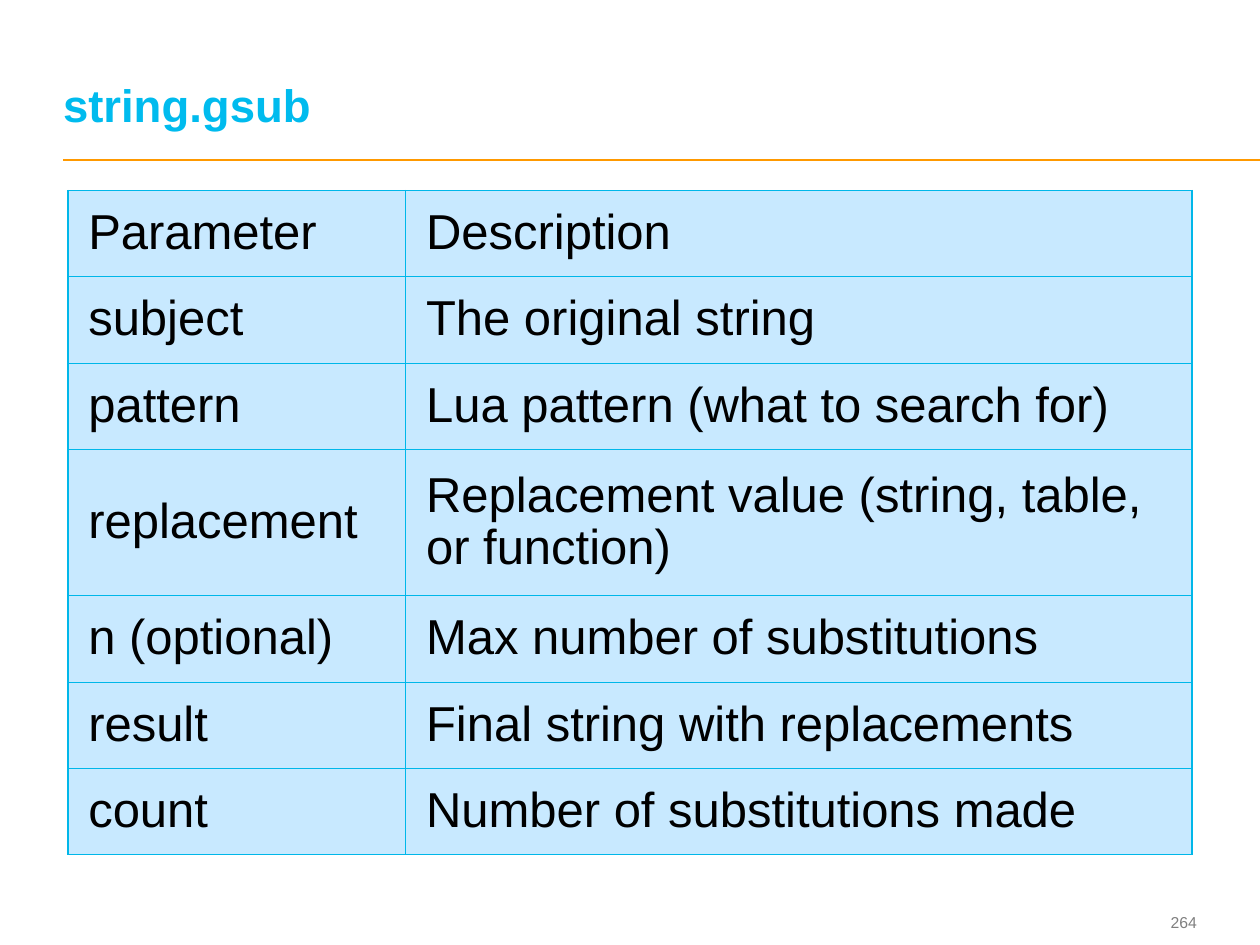
from lxml import etree
from pptx import Presentation
from pptx.dml.color import RGBColor
from pptx.enum.shapes import MSO_CONNECTOR
from pptx.enum.text import MSO_ANCHOR, PP_ALIGN
from pptx.oxml.ns import qn
from pptx.util import Cm, Pt

LINE = MSO_CONNECTOR.STRAIGHT
MID, BASE = MSO_ANCHOR.MIDDLE, MSO_ANCHOR.BOTTOM
LEFT, RIGHT = PP_ALIGN.LEFT, PP_ALIGN.RIGHT

CYAN = RGBColor(0x00, 0xBB, 0xEE)
EDGE = RGBColor(0x00, 0xB7, 0xE9)
PALE = RGBColor(0xC8, 0xE9, 0xFF)
GOLD = RGBColor(0xFF, 0x99, 0x00)
GREY = RGBColor(0x7F, 0x7F, 0x7F)
BLACK = RGBColor(0, 0, 0)

# Content
TITLE = "string.gsub"
PAGE = "264"
ROWS = [
    ("Parameter", "Description"),
    ("subject", "The original string"),
    ("pattern", "Lua pattern (what to search for)"),
    ("replacement", "Replacement value (string, table, or function)"),
    ("n (optional)", "Max number of substitutions"),
    ("result", "Final string with replacements"),
    ("count", "Number of substitutions made"),
]
TALL = 3  # the row that holds two lines
WIDTHS = (6.81, 15.85)
LOW, HIGH = 1.74, 2.95

# Formats
HEAD = {"name": "Arial", "size": Pt(26), "bold": True}
BODY = {"name": "Arial", "size": Pt(28), "bold": False}
FOOT = {"name": "Arial", "size": Pt(9), "bold": False}
FLUSH = dict.fromkeys(
    ("margin_left", "margin_top", "margin_right", "margin_bottom"), 0)
PAD = {"margin_left": Cm(0.41), "margin_right": Cm(0.41),
       "margin_top": Cm(0.2), "margin_bottom": Cm(0.2),
       "vertical_anchor": MID}


def apply(item, style):
    for key, value in style.items():
        setattr(item, key, value)


def write(frame, text, style, color, align=LEFT, gap=None):
    frame.text = text
    para = frame.paragraphs[0]
    para.alignment = align
    para.line_spacing = gap
    font = para.runs[0].font
    apply(font, style)
    font.color.rgb = color


def border(cell):
    props = cell._tc.get_or_add_tcPr()
    for spot, side in enumerate(("lnL", "lnR", "lnT", "lnB")):
        line = etree.Element(qn("a:" + side), w=str(Pt(0.75)))
        fill = etree.SubElement(line, qn("a:solidFill"))
        etree.SubElement(fill, qn("a:srgbClr"), val=str(EDGE))
        props.insert(spot, line)


deck = Presentation()
deck.slide_width, deck.slide_height = Cm(25.4), Cm(19.05)
slide = deck.slides.add_slide(deck.slide_layouts[5])
shapes = slide.shapes

# Title
title = shapes.title
apply(title, {"left": Cm(1.27), "top": Cm(0.48),
              "width": Cm(22.78), "height": Cm(2.18)})
apply(title.text_frame,
      {**FLUSH, "vertical_anchor": BASE, "word_wrap": True})
write(title.text_frame, TITLE, HEAD, CYAN, gap=Pt(26))

# Rule under the title
rule = shapes.add_connector(LINE, Cm(1.27), Cm(3.23), Cm(25.4), Cm(3.23))
rule.line.color.rgb = GOLD
rule.line.width = Pt(1)
etree.SubElement(rule._element.spPr, qn("a:effectLst"))

# Page number
page = shapes.add_textbox(Cm(22.63), Cm(18.24), Cm(1.5), Cm(0.69))
apply(page.text_frame, {**FLUSH, "vertical_anchor": MID, "word_wrap": True})
write(page.text_frame, PAGE, FOOT, GREY, RIGHT)

# Table
highs = [HIGH if i == TALL else LOW for i in range(len(ROWS))]
table = shapes.add_table(len(ROWS), len(WIDTHS), Cm(1.37), Cm(3.84),
                         Cm(sum(WIDTHS)), Cm(sum(highs))).table
apply(table, {"first_row": False, "horz_banding": False})
for col, width in zip(table.columns, WIDTHS):
    col.width = Cm(width)
for row, high, texts in zip(table.rows, highs, ROWS):
    row.height = Cm(high)
    for cell, text in zip(row.cells, texts):
        apply(cell, PAD)
        cell.fill.solid()
        cell.fill.fore_color.rgb = PALE
        border(cell)
        write(cell.text_frame, text, BODY, BLACK, gap=0.96)

deck.save("out.pptx")
